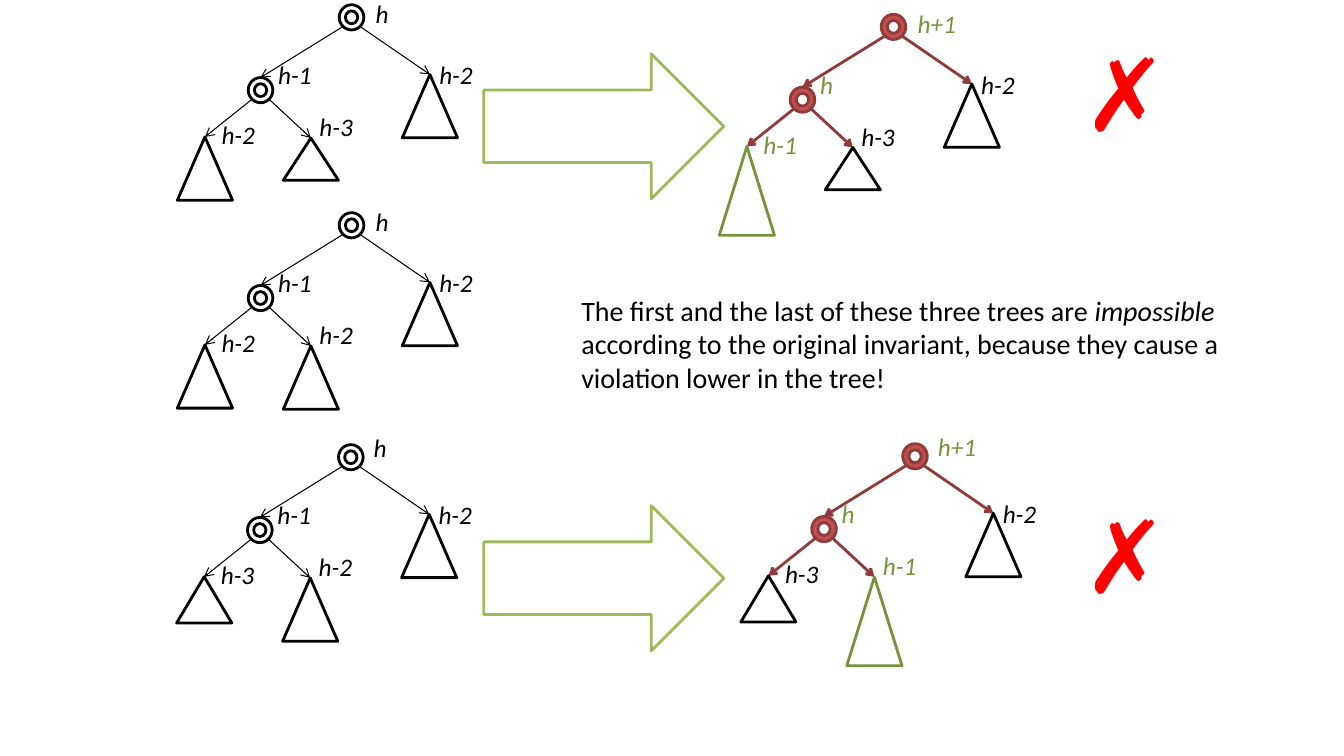
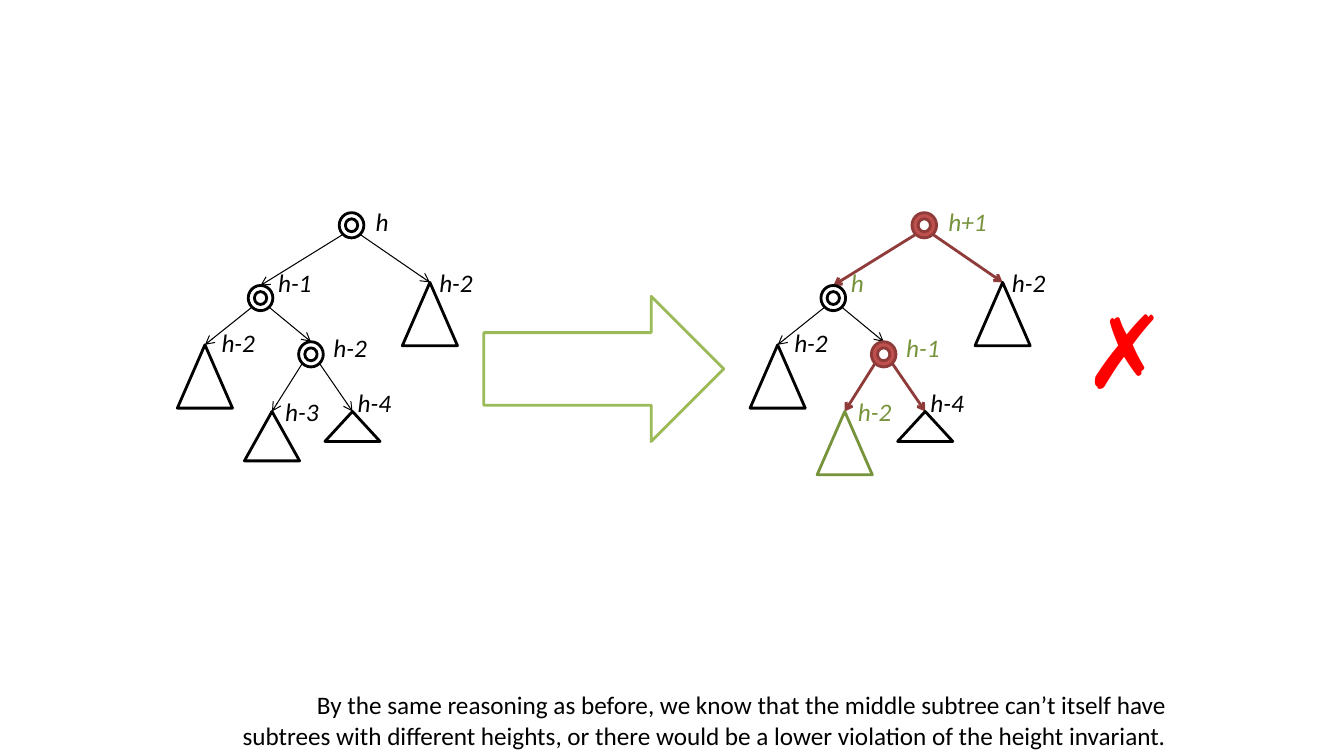
from dataclasses import dataclass

from lxml import etree
from pptx import Presentation
from pptx.dml.color import RGBColor
from pptx.enum.shapes import MSO_CONNECTOR, MSO_SHAPE
from pptx.enum.text import MSO_AUTO_SIZE, PP_ALIGN
from pptx.oxml.ns import qn
from pptx.util import Pt

STRAIGHT = MSO_CONNECTOR.STRAIGHT
DONUT, TRIANGLE, ARROW = MSO_SHAPE.DONUT, MSO_SHAPE.ISOSCELES_TRIANGLE, MSO_SHAPE.RIGHT_ARROW
LEFT, RIGHT = PP_ALIGN.LEFT, PP_ALIGN.RIGHT
GROW = MSO_AUTO_SIZE.SHAPE_TO_FIT_TEXT


@dataclass(frozen=True)
class Theme:
    font: str = "Calibri"
    black: str = "000000"
    white: str = "FFFFFF"
    red_fill: str = "C0504D"
    red_line: str = "8E3B39"
    green: str = "77933C"
    arrow: str = "9BBB59"
    cross: str = "FF0000"
    label_size: int = 18
    body_size: int = 20
    cross_size: int = 72
    thin: float = 0.75
    thick: float = 2


THEME = Theme()
SLIDE_SIZE = (960, 540)
DONUT_SIZE = (17.6, 18)
TRIANGLE_WIDTH = 39.4
ARROW_BOX = (345.6, 171.4, 103.7)
CROSS_BOX = (766.8, 61.2, 94.3)
LABEL_WIDTHS = {"h": 23.9, "h+1": 42.6}
LABEL_WIDTH, LABEL_HEIGHT = 38.9, 29.1
EDGE_START = (6.2, 15.6)

SLOTS = {
    "root": (None, (0, 0), (10.2, -8)),
    "right": ("root", (56, 49.8), (-0.4, -14.4)),
    "left": ("root", (-65, 52), (5.5, -16.6)),
    "outer": ("left", (-104.7, 94.4), (4.8, -16)),
    "inner": ("left", (-29, 95.2), (-1, -22.6)),
    "middle": ("left", (-29, 92.2), (9, -10)),
    "middle left": ("middle", (-56.8, 142), (2.3, -14.4)),
    "middle right": ("middle", (0.7, 142), (-3.4, -20.9)),
}

# slot: (label, triangle height or 0 for a node, label changed, shape changed)


def tree(origin, nodes, root_shift=(0, 0)):
    return {"origin": origin, "nodes": nodes, "root_shift": root_shift}


def subtree(label, height, changed=False):
    return (label, height, changed, changed)


def node(label, label_changed=False, shape_changed=False):
    return (label, 0, label_changed, shape_changed)


TALL, TALLER = 45.2, 63.4
OLD_TOP = {"root": node("h"), "left": node("h-1"), "right": subtree("h-2", TALL)}
NEW_TOP = {"root": node("h+1", True, True), "left": node("h", True, True),
           "right": subtree("h-2", TALL)}
LOW_ROOT_LABEL = (-1, -4.2)

PAGES = [
    {
        "trees": [
            tree((251.1, 151.9), {**OLD_TOP, "outer": subtree("h-2", TALL),
                                  "inner": subtree("h-2", TALL)}),
            tree((251.1, 3.4), {**OLD_TOP, "outer": subtree("h-2", TALL),
                                "inner": subtree("h-3", 30.2)}),
            tree((250.6, 317.6), {**OLD_TOP, "outer": subtree("h-3", 33),
                                  "inner": subtree("h-2", TALL)}, LOW_ROOT_LABEL),
            tree((638.2, 10.2), {**NEW_TOP, "outer": subtree("h-1", TALLER, True),
                                 "inner": subtree("h-3", 30.2)}),
            tree((653.6, 316.9), {**NEW_TOP, "outer": subtree("h-3", 33),
                                  "inner": subtree("h-1", TALLER, True)}, LOW_ROOT_LABEL),
        ],
        "arrows": [38.4, 361.2],
        "crosses": [18.7, 348.5],
        "text": {
            "box": (408.2, 205.9, 472.3, 79.9), "size": THEME.body_size, "align": LEFT,
            "paragraphs": [[
                ("The first and the last of these three trees are ", False),
                ("impossible", True),
                (" according to the original invariant, because they cause a "
                 "violation lower in the tree!", False),
            ]],
        },
    },
    {
        "trees": [
            tree((251.1, 151.9), {**OLD_TOP, "outer": subtree("h-2", TALL),
                                  "middle": node("h-2"),
                                  "middle left": subtree("h-3", 35.3),
                                  "middle right": subtree("h-4", 21.4)}),
            tree((660.2, 151.9), {**NEW_TOP, "left": node("h", True),
                                  "outer": subtree("h-2", TALL),
                                  "middle": node("h-1", True, True),
                                  "middle left": subtree("h-2", TALL, True),
                                  "middle right": subtree("h-4", 21.4)}),
        ],
        "arrows": [211.7],
        "crosses": [201.6],
        "text": {
            "box": (120.2, 489.1, 720, 50.9), "size": THEME.label_size, "align": RIGHT,
            "paragraphs": [
                [("By the same reasoning as before, we know that the middle subtree "
                  "can’t itself have", False)],
                [("subtrees with different heights, or there would be a lower violation "
                  "of the height invariant.", False)],
            ],
        },
    },
]


def color(value):
    return RGBColor.from_string(value)


def add_outline(page, kind, box, fill, line):
    shape = page.shapes.add_shape(kind, *map(Pt, box))
    shape.shadow.inherit = False
    shape.fill.solid()
    shape.fill.fore_color.rgb = color(fill)
    shape.line.color.rgb = color(line)
    shape.line.width = Pt(THEME.thick)


def add_edge(page, start, end, changed):
    edge = page.shapes.add_connector(STRAIGHT, *map(Pt, (*start, *end)))
    edge.line.color.rgb = color(THEME.red_line if changed else THEME.black)
    edge.line.width = Pt(THEME.thick if changed else THEME.thin)
    etree.SubElement(edge.line._get_or_add_ln(), qn("a:tailEnd"), type="arrow")
    etree.SubElement(edge._element.spPr, qn("a:effectLst"))


def add_text(page, bounds, paragraphs, size, ink, wrap=False, align=LEFT, bold=False):
    box = page.shapes.add_textbox(*map(Pt, bounds))
    frame = box.text_frame
    frame.word_wrap = wrap
    frame.auto_size = GROW
    for index, spans in enumerate(paragraphs):
        para = frame.add_paragraph() if index else frame.paragraphs[0]
        para.alignment = align
        for words, italic in spans:
            span = para.add_run()
            span.text = words
            span.font.name = THEME.font
            span.font.size = Pt(size)
            span.font.color.rgb = color(ink)
            span.font.italic = italic
            span.font.bold = bold


def add_tree(page, origin, nodes, root_shift):
    places = {slot: (origin[0] + SLOTS[slot][1][0], origin[1] + SLOTS[slot][1][1])
              for slot in nodes}
    for slot, (x, y) in places.items():
        parent = SLOTS[slot][0]
        if parent:
            parent_x, parent_y = places[parent]
            side = 1 if x > parent_x else -1
            start = (parent_x + side * EDGE_START[0], parent_y + EDGE_START[1])
            add_edge(page, start, (x, y), nodes[parent][3])
    for slot, (x, y) in places.items():
        height, changed = nodes[slot][1], nodes[slot][3]
        if height:
            add_outline(page, TRIANGLE, (x - TRIANGLE_WIDTH / 2, y, TRIANGLE_WIDTH, height),
                        THEME.white, THEME.green if changed else THEME.black)
        else:
            add_outline(page, DONUT, (x - DONUT_SIZE[0] / 2, y, *DONUT_SIZE),
                        THEME.red_fill if changed else THEME.white,
                        THEME.red_line if changed else THEME.black)
    for slot, (x, y) in places.items():
        label, changed = nodes[slot][0], nodes[slot][2]
        dx, dy = SLOTS[slot][2]
        if slot == "root":
            dx, dy = dx + root_shift[0], dy + root_shift[1]
        bounds = (x + dx, y + dy, LABEL_WIDTHS.get(label, LABEL_WIDTH), LABEL_HEIGHT)
        add_text(page, bounds, [[(label, True)]], THEME.label_size,
                 THEME.green if changed else THEME.black)


def add_page(deck, content):
    page = deck.slides.add_slide(deck.slide_layouts[6])
    for item in content["trees"]:
        add_tree(page, **item)
    left, width, height = ARROW_BOX
    for top in content["arrows"]:
        add_outline(page, ARROW, (left, top, width, height), THEME.white, THEME.arrow)
    left, width, height = CROSS_BOX
    for top in content["crosses"]:
        add_text(page, (left, top, width, height), [[("✗", False)]],
                 THEME.cross_size, THEME.cross, bold=True)
    text = content["text"]
    add_text(page, text["box"], text["paragraphs"], text["size"], THEME.black,
             wrap=True, align=text["align"])


def main():
    deck = Presentation()
    deck.slide_width, deck.slide_height = map(Pt, SLIDE_SIZE)
    for content in PAGES:
        add_page(deck, content)
    deck.save("out.pptx")


if __name__ == "__main__":
    main()
